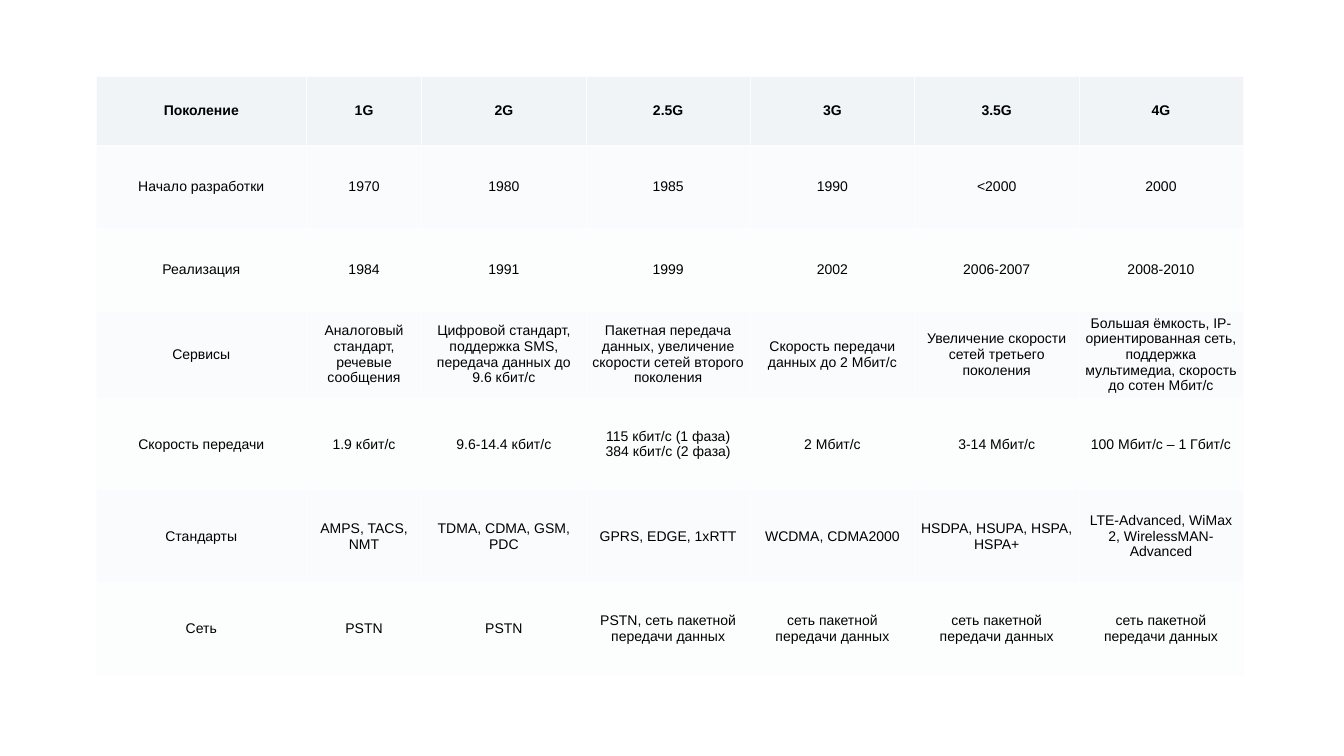
from lxml.etree import SubElement
from pptx import Presentation
from pptx.dml.color import RGBColor
from pptx.enum.text import MSO_ANCHOR, PP_ALIGN
from pptx.oxml.ns import qn
from pptx.util import Pt

EMU_PER_PX = 9144  # 100 px to the inch

COLORS = {
    "header": "F0F4F7",
    "odd_row": "F9FBFC",
    "even_row": "FCFDFD",
    "border": "FDFCFF",
    "text": "000000",
}

PACKET_NETWORK = "сеть пакетной передачи данных"
GENERATIONS = [
    ["Поколение", "1G", "2G", "2.5G", "3G", "3.5G", "4G"],
    ["Начало разработки", "1970", "1980", "1985", "1990", "<2000", "2000"],
    ["Реализация", "1984", "1991", "1999", "2002", "2006-2007", "2008-2010"],
    [
        "Сервисы",
        "Аналоговый стандарт, речевые сообщения",
        "Цифровой стандарт, поддержка SMS, передача данных до 9.6 кбит/с",
        "Пакетная передача данных, увеличение скорости сетей второго поколения",
        "Скорость передачи данных до 2 Мбит/с",
        "Увеличение скорости сетей третьего поколения",
        "Большая ёмкость, IP-ориентированная сеть, поддержка мультимедиа, "
        "скорость до сотен Мбит/с",
    ],
    [
        "Скорость передачи",
        "1.9 кбит/с",
        "9.6-14.4 кбит/с",
        "115 кбит/с (1 фаза)\n384 кбит/с (2 фаза)",
        "2 Мбит/с",
        "3-14 Мбит/с",
        "100 Мбит/с – 1 Гбит/с",
    ],
    [
        "Стандарты",
        "AMPS, TACS, NMT",
        "TDMA, CDMA, GSM, PDC",
        "GPRS, EDGE, 1xRTT",
        "WCDMA, CDMA2000",
        "HSDPA, HSUPA, HSPA, HSPA+",
        "LTE-Advanced, WiMax 2, WirelessMAN-Advanced",
    ],
    ["Сеть", "PSTN", "PSTN", f"PSTN, {PACKET_NETWORK}"] + [PACKET_NETWORK] * 3,
]
COLUMN_WIDTHS = [417, 229] + [326] * 5
ROW_HEIGHTS = [137, 164, 164, 173, 183, 183, 183]


def px(length):
    return length * EMU_PER_PX


def rgb(name):
    return RGBColor.from_string(COLORS[name])


def set_borders(cell, widths):
    """Draw cell edges; widths maps an edge tag to points, in schema order."""
    properties = cell._tc.get_or_add_tcPr()
    for edge, width in widths.items():
        line = SubElement(properties, qn(f"a:{edge}"), w=str(Pt(width)))
        fill = SubElement(line, qn("a:solidFill"))
        SubElement(fill, qn("a:srgbClr"), val=COLORS["border"])


def fill_cell(cell, text, row):
    set_borders(cell, {
        "lnL": 1,
        "lnR": 1,
        "lnT": 3 if row == 1 else 1,
        "lnB": 3 if row == 0 else 1,
    })
    shade = "header" if row == 0 else "odd_row" if row % 2 else "even_row"
    cell.fill.solid()
    cell.fill.fore_color.rgb = rgb(shade)
    cell.vertical_anchor = MSO_ANCHOR.MIDDLE
    cell.text_frame.text = text
    font_values = {"name": "Arial", "size": Pt(20), "bold": row == 0}
    for paragraph in cell.text_frame.paragraphs:
        paragraph.alignment = PP_ALIGN.CENTER
        for span in paragraph.runs:
            for attribute, value in font_values.items():
                setattr(span.font, attribute, value)
            span.font.color.rgb = rgb("text")


def add_generation_table(page, left, top, width, height):
    frame = page.shapes.add_table(
        len(GENERATIONS), len(COLUMN_WIDTHS), *map(px, (left, top, width, height))
    )
    table = frame.table
    table.first_row = table.horz_banding = False
    for column, column_width in zip(table.columns, COLUMN_WIDTHS):
        column.width = px(column_width)
    for row, row_height in zip(table.rows, ROW_HEIGHTS):
        row.height = px(row_height)
    for row_index, texts in enumerate(GENERATIONS):
        for column_index, text in enumerate(texts):
            fill_cell(table.cell(row_index, column_index), text, row_index)


def main():
    deck = Presentation()
    deck.slide_width, deck.slide_height = px(2667), px(1500)
    page = deck.slides.add_slide(deck.slide_layouts[6])
    add_generation_table(page, 191, 152, sum(COLUMN_WIDTHS), sum(ROW_HEIGHTS))
    deck.save("out.pptx")


if __name__ == "__main__":
    main()
